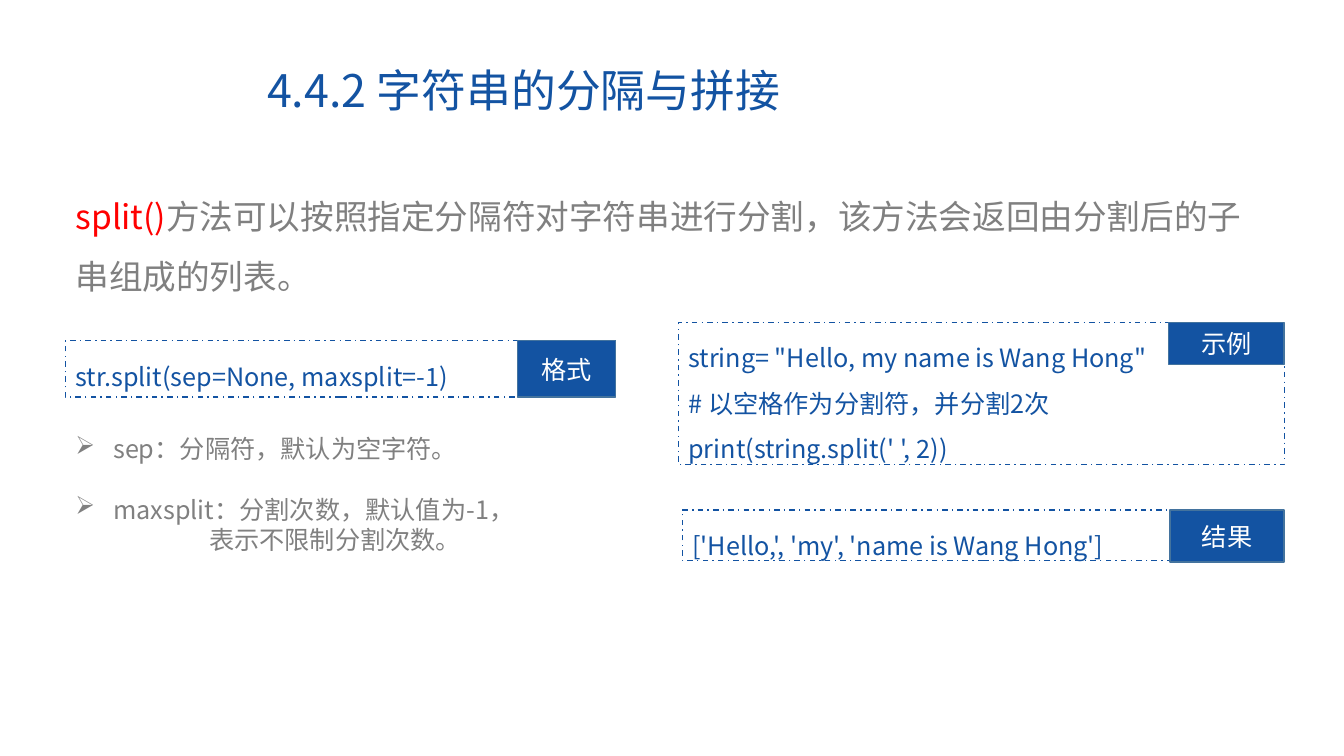
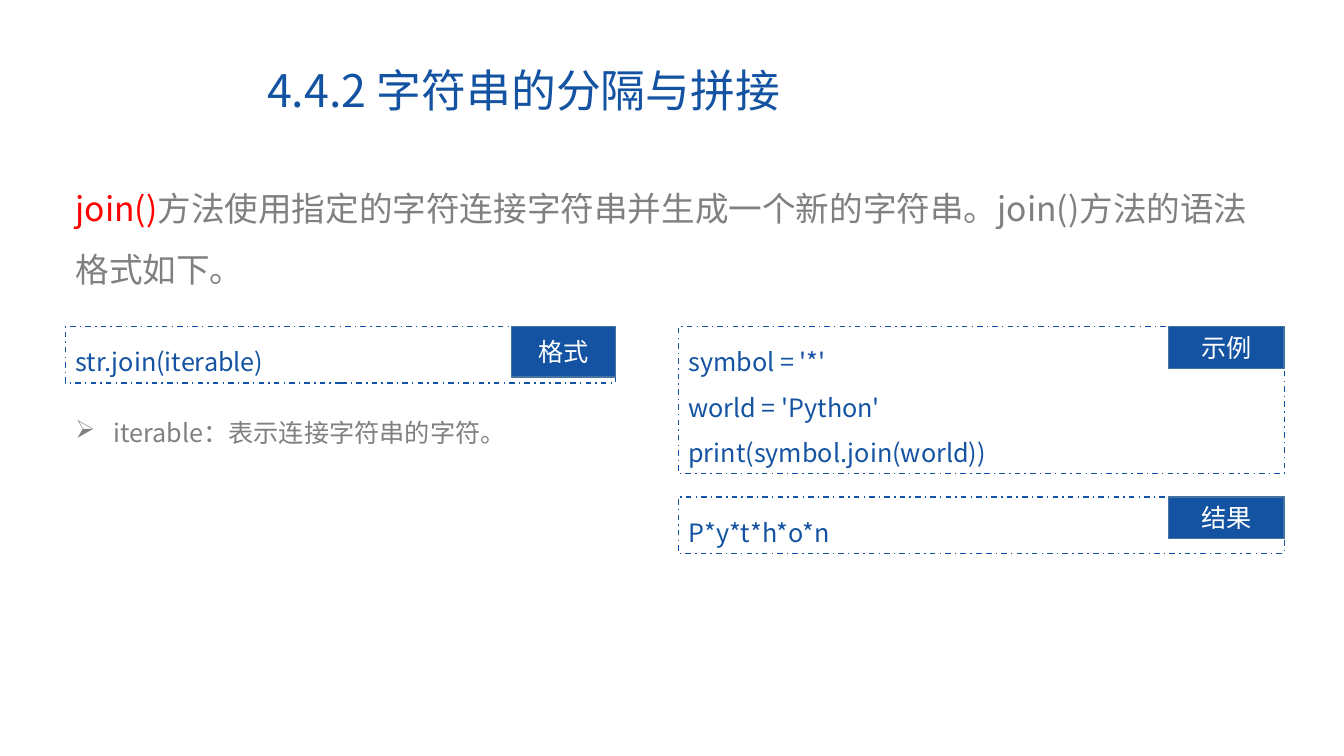
"""Builds two slides on splitting and joining strings."""
from dataclasses import dataclass

from lxml.etree import SubElement as Sub
from pptx import Presentation as Deck
from pptx.dml.color import RGBColor as Rgb
from pptx.enum.dml import MSO_LINE_DASH_STYLE as Dash
from pptx.enum.shapes import MSO_SHAPE as Shape
from pptx.enum.text import MSO_ANCHOR as Anchor, MSO_AUTO_SIZE as Fit, PP_ALIGN as Align
from pptx.oxml.ns import qn
from pptx.util import Pt


@dataclass(frozen=True)
class Theme:
    font: str = "Noto Sans CJK SC"
    blue: Rgb = Rgb(0x13, 0x53, 0xA2)
    edge: Rgb = Rgb(0x43, 0x73, 0x9E)
    grey: Rgb = Rgb(0x80, 0x80, 0x80)
    red: Rgb = Rgb(0xFF, 0x00, 0x00)
    white: Rgb = Rgb(0xFF, 0xFF, 0xFF)
    head: int = 32
    lead: int = 24
    body: int = 18


class Page:
    def __init__(self, deck, theme):
        self.theme = theme
        self.slide = deck.slides.add_slide(deck.slide_layouts[5])

    def style(self, par, size, color, space=None, align=Align.LEFT):
        par.alignment = align
        if space:
            par.line_spacing = space
        for run in par.runs:
            font = run.font
            font.name, font.size = self.theme.font, Pt(size)
            font.color.rgb = color
            Sub(font._element, qn("a:ea"), typeface=self.theme.font)

    def title(self, text):
        head = self.slide.shapes.title
        head.left, head.top, head.width, head.height = map(Pt, (183.6, 45.4, 658, 42.5))
        frame = head.text_frame
        frame.text = text
        frame.auto_size, frame.vertical_anchor = Fit.NONE, Anchor.MIDDLE
        self.style(frame.paragraphs[0], self.theme.head, self.theme.blue, 0.9)

    def text(self, *box):
        frame = self.slide.shapes.add_textbox(*map(Pt, box)).text_frame
        frame.word_wrap = True
        return frame

    def intro(self, top, term, rest):
        par = self.text(46.8, top, 870.5, 94.3).paragraphs[0]
        par.text = term
        par.add_run().text = rest
        self.style(par, self.theme.lead, self.theme.grey, 1.5)
        par.runs[0].font.color.rgb = self.theme.red

    def rect(self, group, box, text, color, line, **look):
        shape = group.shapes.add_shape(Shape.RECTANGLE, *map(Pt, box))
        shape.shadow.inherit = False
        shape.fill.background()
        shape.line.color.rgb, shape.line.width = line, Pt(1)
        frame = shape.text_frame
        frame.word_wrap, frame.text = True, text
        for par in frame.paragraphs:
            self.style(par, self.theme.body, color, **look)
        return shape

    def panel(self, box, label, size, code):
        theme, (left, top, width, _) = self.theme, box
        group = self.slide.shapes.add_group_shape()
        area = self.rect(group, box, code, theme.blue, theme.blue, space=1.5)
        area.line.dash_style = Dash.DASH_DOT
        area.text_frame.vertical_anchor = Anchor.TOP
        spot = (left + width - size[0], top, *size)
        tag = self.rect(group, spot, label, theme.white, theme.edge, align=Align.CENTER)
        tag.fill.solid()
        tag.fill.fore_color.rgb = theme.blue
        tag.text_frame.vertical_anchor = Anchor.MIDDLE

    def points(self, box, items):
        frame = self.text(*box)
        frame.text = "\n".join(text for text, _, _ in items)
        for par, (_, inset, gap) in zip(frame.paragraphs, items):
            props = par._p.get_or_add_pPr()
            props.set("marL", str(Pt(inset)))
            if inset == 27:
                props.set("indent", str(-Pt(inset)))
                Sub(props, qn("a:buChar"), char="➢")
            if gap:
                par.space_before = Pt(gap)
            self.style(par, self.theme.body, self.theme.grey)


def main():
    deck, theme = Deck(), Theme()
    deck.slide_width, deck.slide_height = Pt(960), Pt(540)
    split, join = Page(deck, theme), Page(deck, theme)
    for page in (split, join):
        page.title("4.4.2 字符串的分隔与拼接")

    split.intro(121.7, "split()", "方法可以按照指定分隔符对字符串进行分割，该方法会返回由分割后的子串组成的列表。")
    split.panel((46.8, 243.4, 393, 40.3), "格式", (70, 40.3),
                "str.split(sep=None, maxsplit=-1)")
    split.points((46.8, 306, 393, 94.3), [
        ("sep：分隔符，默认为空字符。", 27, 0),
        ("maxsplit：分割次数，默认值为-1，", 27, 21.6),
        ("表示不限制分割次数。", 95.5, 0),
    ])
    split.panel((484.6, 230.4, 432.7, 101.5), "示例", (82.5, 30),
                "string= \"Hello, my name is Wang Hong\"\n"
                "# 以空格作为分割符，并分割2次\n"
                "print(string.split(' ', 2))")
    split.panel((487.4, 364.3, 429.9, 36), "结果", (81.5, 37.2),
                "['Hello,', 'my', 'name is Wang Hong']")

    join.intro(116.6, "join()", "方法使用指定的字符连接字符串并生成一个新的字符串。join()方法的语法格式如下。")
    join.panel((46.8, 233.3, 393, 40.3), "格式", (74.5, 36), "str.join(iterable)")
    join.points((46.8, 294.5, 404, 28.8), [("iterable：表示连接字符串的字符。", 27, 0)])
    join.panel((484.6, 233.3, 432.7, 105.1), "示例", (82.5, 30),
               "symbol = '*'\nworld = 'Python'\nprint(symbol.join(world))")
    join.panel((484.6, 355, 432.7, 40.3), "结果", (82.5, 29.5), "P*y*t*h*o*n")

    deck.save("out.pptx")


if __name__ == "__main__":
    main()
